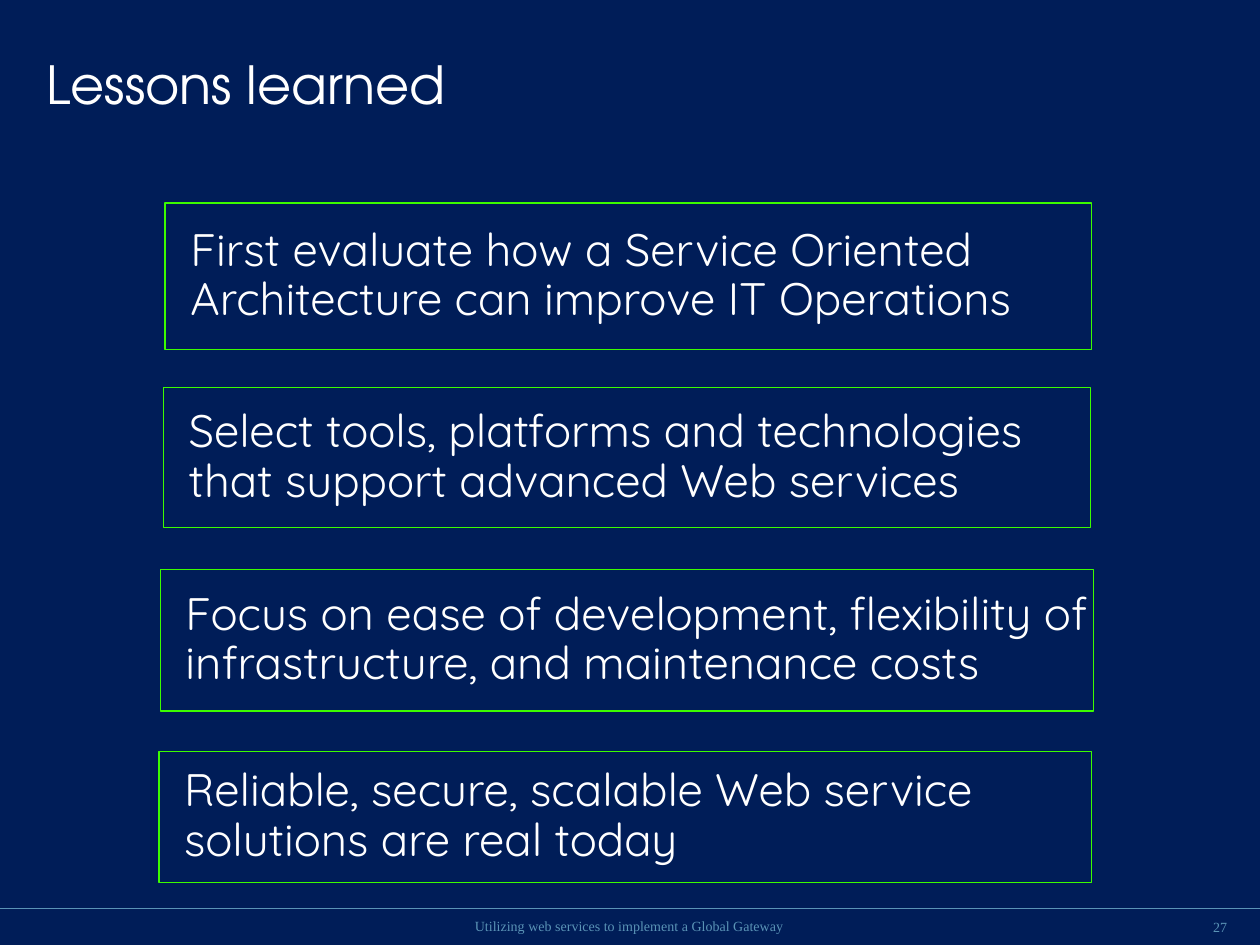
from dataclasses import dataclass

from lxml import etree
from pptx import Presentation
from pptx import util as u
from pptx.dml.color import RGBColor
from pptx.enum import shapes, text
from pptx.oxml import ns

NAVY = RGBColor(0x00, 0x1D, 0x58)
WHITE = RGBColor(0xFF, 0xFF, 0xFF)
GREEN = RGBColor(0x3C, 0xFC, 0x00)
STEEL = RGBColor(0x5A, 0x93, 0xB6)

PAGE_WIDTH, PAGE_HEIGHT = 720, 540
FOOTER_RULE_TOP = 519.1


@dataclass(frozen=True)
class Frame:
    """Position and size in points."""
    left: float
    top: float
    width: float
    height: float

    def lengths(self) -> tuple:
        return tuple(u.Pt(v) for v in (self.left, self.top, self.width, self.height))


@dataclass(frozen=True)
class Style:
    font: str
    size: float
    color: RGBColor
    align: text.PP_ALIGN = text.PP_ALIGN.LEFT


@dataclass(frozen=True)
class Label:
    wording: str
    frame: Frame
    style: Style


TITLE = Style("TeX Gyre Adventor", 30, WHITE)
LESSON = Style("Quicksand", 26, WHITE)
FOOTER = Style("Times New Roman", 8, STEEL, text.PP_ALIGN.CENTER)
NUMBER = Style("Times New Roman", 8, STEEL, text.PP_ALIGN.RIGHT)

LABELS = [
    Label("Lessons learned", Frame(26.6, 15.1, 577.4, 64.8), TITLE),
    Label("Utilizing web services to implement a Global Gateway",
          Frame(122.4, 523.4, 474.5, 10.8), FOOTER),
    Label("27", Frame(669.6, 524.2, 31.7, 10.8), NUMBER),
]

LESSONS = [
    Label("First evaluate how a Service Oriented Architecture can improve IT Operations",
          Frame(94.4, 116, 529.4, 83.6), LESSON),
    Label("Select tools, platforms and technologies that support advanced Web services",
          Frame(93.4, 221.6, 529.8, 79.9), LESSON),
    Label("Focus on ease of development, flexibility of infrastructure, and maintenance costs",
          Frame(91.6, 325.5, 533.4, 80.8), LESSON),
    Label("Reliable, secure, scalable Web service solutions are real today",
          Frame(90.8, 429.3, 533, 74.9), LESSON),
]


def write(box, label: Label, indent: float = 0):
    """Fill a shape with one styled paragraph and return that paragraph."""
    frame = box.text_frame
    frame.text = label.wording
    frame.word_wrap = True
    frame.vertical_anchor = text.MSO_ANCHOR.MIDDLE
    frame.margin_left = u.Pt(indent)
    frame.margin_top = frame.margin_right = frame.margin_bottom = u.Pt(0)
    para = frame.paragraphs[0]
    para.alignment = label.style.align
    for span in para.runs:
        span.font.name = label.style.font
        span.font.size = u.Pt(label.style.size)
        span.font.color.rgb = label.style.color
    return para


def add_label(page, label: Label) -> None:
    write(page.shapes.add_textbox(*label.frame.lengths()), label)


def add_lesson(page, label: Label) -> None:
    box = page.shapes.add_shape(shapes.MSO_SHAPE.RECTANGLE, *label.frame.lengths())
    box.shadow.inherit = False
    box.fill.background()
    box.line.color.rgb = GREEN
    box.line.width = u.Pt(0.75)
    para = write(box, label, indent=14.4)
    para.line_spacing = 0.9
    para.space_after = u.Pt(3.3)


def add_footer_rule(page) -> None:
    rule = page.shapes.add_connector(
        shapes.MSO_CONNECTOR.STRAIGHT,
        u.Pt(0), u.Pt(FOOTER_RULE_TOP), u.Pt(PAGE_WIDTH), u.Pt(FOOTER_RULE_TOP))
    rule.line.color.rgb = STEEL
    rule.line.width = u.Pt(0.75)
    etree.SubElement(rule._element.spPr, ns.qn("a:effectLst"))


def main() -> None:
    deck = Presentation()
    deck.slide_width, deck.slide_height = u.Pt(PAGE_WIDTH), u.Pt(PAGE_HEIGHT)
    page = deck.slides.add_slide(deck.slide_layouts[6])
    page.background.fill.solid()
    page.background.fill.fore_color.rgb = NAVY

    # Footer rule
    add_footer_rule(page)
    # Framed lessons
    for lesson in LESSONS:
        add_lesson(page, lesson)
    # Title, footer text and page number
    for label in LABELS:
        add_label(page, label)

    deck.save("out.pptx")


if __name__ == "__main__":
    main()
